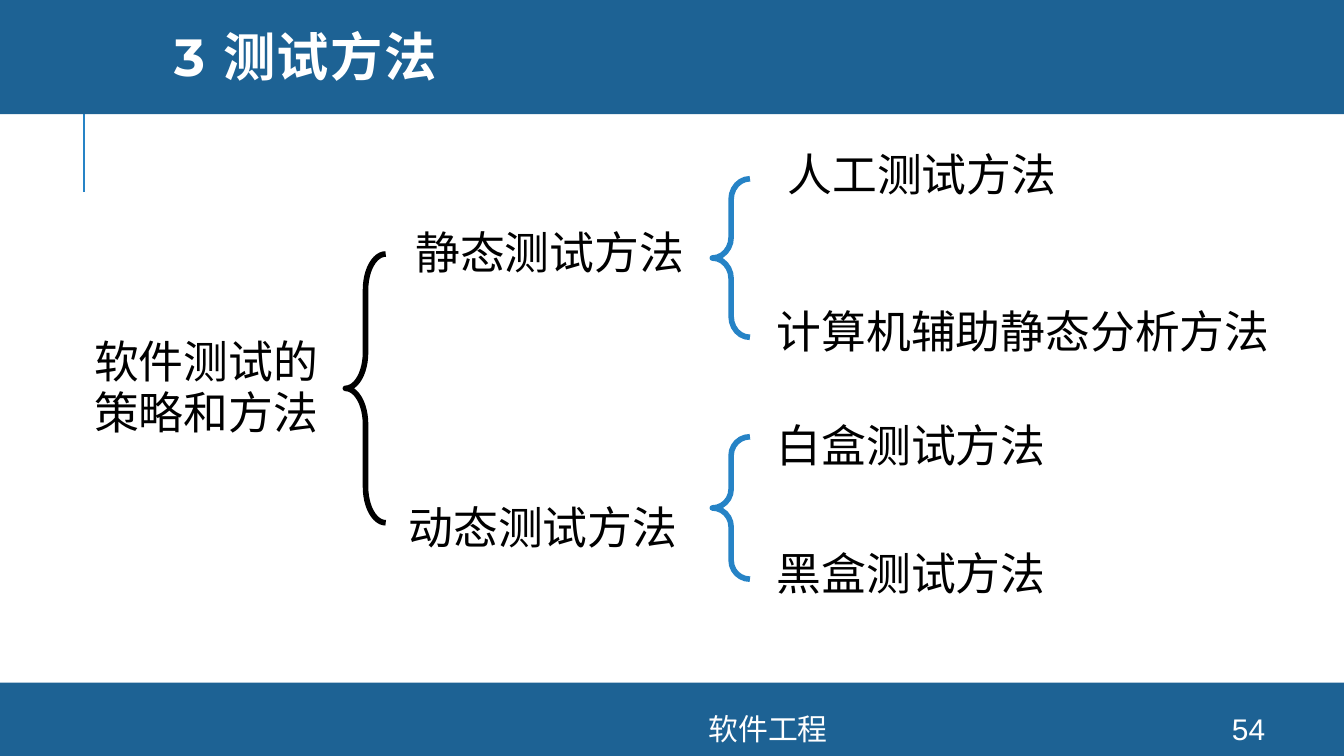
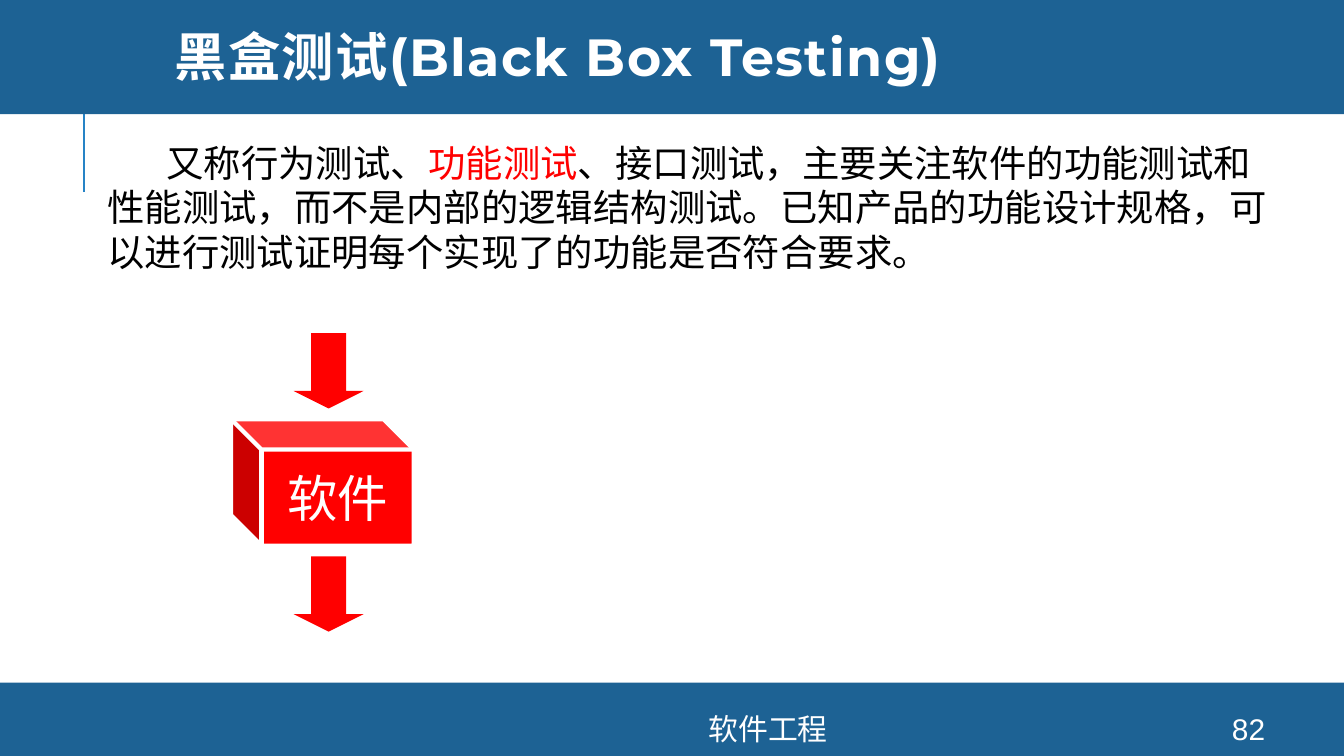
import pptx
import pptx.dml.color
import pptx.enum.shapes
import pptx.enum.text
import pptx.oxml
import pptx.oxml.ns
import pptx.util

RGBColor = pptx.dml.color.RGBColor
SHAPE = pptx.enum.shapes.MSO_SHAPE
ALIGN = pptx.enum.text.PP_ALIGN
ANCHOR = pptx.enum.text.MSO_ANCHOR

BAND_BLUE = RGBColor(0x1D, 0x62, 0x94)
ACCENT_BLUE = RGBColor(0x26, 0x83, 0xC6)
WHITE = RGBColor(0xFF, 0xFF, 0xFF)
BLACK = RGBColor(0, 0, 0)
RED = RGBColor(0xFF, 0, 0)

# The slide is a grid of 100 columns by 56.25 rows of square cells.
CELL = pptx.util.Inches(0.1)
COLUMNS, ROWS = 100, 56.25


def cells(*counts):
    return [round(count * CELL) for count in counts]


def write(slide, text, at=None, host=None, size=24, color=BLACK, font="Arial", bold=False,
          align=ALIGN.LEFT, anchor=ANCHOR.TOP, spacing=None, tracking=None, indent=0,
          inset=(1, 0.5), wrap=True):
    """Write paragraphs, split by line breaks, into host or a new box; a list gives (text, colour) runs."""
    frame = (host or slide.shapes.add_textbox(*cells(*at))).text_frame
    frame.word_wrap = wrap
    frame.vertical_anchor = anchor
    frame.margin_left = frame.margin_right = cells(inset[0])[0]
    frame.margin_top = frame.margin_bottom = cells(inset[1])[0]
    paragraphs = [text] if isinstance(text, list) else [[(line, color)] for line in text.split("\n")]
    for index, runs in enumerate(paragraphs):
        paragraph = frame.add_paragraph() if index else frame.paragraphs[0]
        paragraph.alignment = align
        if spacing:
            paragraph.line_spacing = spacing
        if indent:
            paragraph._p.get_or_add_pPr().set("indent", str(cells(indent)[0]))
        for words, run_color in runs:
            run = paragraph.add_run()
            run.text = words
            run.font.name = font
            run.font.size = pptx.util.Pt(size)
            run.font.bold = bold
            run.font.color.rgb = run_color
            if tracking:
                run.font._element.set("spc", str(round(tracking * 100)))


def draw(slide, kind, at, fill=None, line=None, width=3, adjust=()):
    shape = slide.shapes.add_shape(kind, *cells(*at))
    shape.shadow.inherit = False
    if fill is None:
        shape.fill.background()
    else:
        shape.fill.solid()
        shape.fill.fore_color.rgb = fill
    if line is None:
        shape.line.fill.background()
    else:
        shape.line.color.rgb = line
        shape.line.width = pptx.util.Pt(width)
    for index, value in enumerate(adjust):
        shape.adjustments[index] = value
    return shape


deck = pptx.Presentation()
deck.slide_width, deck.slide_height = cells(COLUMNS, ROWS)

# Frame shared by all slides: margin rule, bands, title and footer
HEADER, FOOTER = 8.5, 5.45
slides = []
for title, number in (("3 测试方法", "54"), ("黑盒测试(Black Box Testing)", "82")):
    slide = deck.slides.add_slide(deck.slide_layouts[6])
    slides.append(slide)
    margin_rule = slide.shapes.add_connector(
        pptx.enum.shapes.MSO_CONNECTOR.STRAIGHT, *cells(6.25, 14.3, 6.25, 6.8))
    margin_rule.line.color.rgb = ACCENT_BLUE
    margin_rule.line.width = pptx.util.Pt(1.5)
    margin_rule._element.spPr.append(pptx.oxml.parse_xml(
        "<a:effectLst %s/>" % pptx.oxml.ns.nsdecls("a")))
    draw(slide, SHAPE.RECTANGLE, (0, ROWS - FOOTER, COLUMNS, FOOTER), fill=BAND_BLUE)
    draw(slide, SHAPE.RECTANGLE, (0, 0, COLUMNS, HEADER), fill=BAND_BLUE)
    write(slide, title, (12, 0, 84.9, 9.1), size=28, color=WHITE, font="Montserrat", bold=True,
          anchor=ANCHOR.MIDDLE, spacing=0.8, tracking=0.8)
    for left, width, label in ((26.1, 62.1, "软件工程"), (88.9, 8, number)):
        write(slide, label, (left, 53.1, width, 2.3), size=16, color=WHITE,
              align=ALIGN.CENTER, anchor=ANCHOR.MIDDLE)
methods, black_box = slides

# Tree of test methods
LEAF = 57.1
for label, left, top, width, height, spacing, indent in (
        ("软件测试的\n策略和方法", 6.3, 24.7, 19.4, 8.4, 0.95, 0),
        ("静态测试方法", 30.2, 16.6, 29.8, 4.6, 0.95, 0),
        ("动态测试方法", 29.7, 37.1, 31, 4.6, 0.95, 0),
        ("人工测试方法", LEAF, 10.8, 34, 4.6, 0.95, 0.8),
        ("计算机辅助静态分析方法", LEAF, 23, 40.7, 4, 0.8, 0),
        ("白盒测试方法", LEAF, 31, 31.6, 4.6, 0.95, 0),
        ("黑盒测试方法", LEAF, 40.5, 31.6, 4.6, 0.95, 0)):
    write(methods, label, (left, top, width, height), spacing=spacing, indent=indent,
          inset=(0.7, 0.4))
for brace, color, curl in (((25.7, 18.9, 3, 20), BLACK, 0.89),
                           ((53, 13.3, 2.8, 11.8), ACCENT_BLUE, 0.55),
                           ((53, 32.5, 2.8, 10.6), ACCENT_BLUE, 0.5)):
    draw(methods, SHAPE.LEFT_BRACE, brace, line=color, adjust=(curl, 0.5))

# Definition of black box testing, then input, software and output
write(black_box, [
    ("又称行为测试、", BLACK),
    ("功能测试", RED),
    ("、接口测试，主要关注软件的功能测试和性能测试，而不是内部的逻辑结构测试。"
     "已知产品的功能设计规格，可以进行测试证明每个实现了的功能是否符合要求。", BLACK),
], (7, 9.9, 88.6, 11.1), size=20, indent=4.4)

software = draw(black_box, SHAPE.CUBE, (17.2, 31.2, 13.6, 9.4), fill=RED, line=WHITE,
                width=2.25, adjust=(0.24,))
software._element.spPr.xfrm.set("flipH", "1")
write(black_box, "软件", host=software, size=27, color=WHITE, align=ALIGN.CENTER,
      anchor=ANCHOR.MIDDLE, wrap=False)
for arrow_top in (24.8, 41.4):
    draw(black_box, SHAPE.DOWN_ARROW, (21.85, arrow_top, 5.2, 5.6), fill=RED, adjust=(0.5, 0.25))

deck.save("out.pptx")
